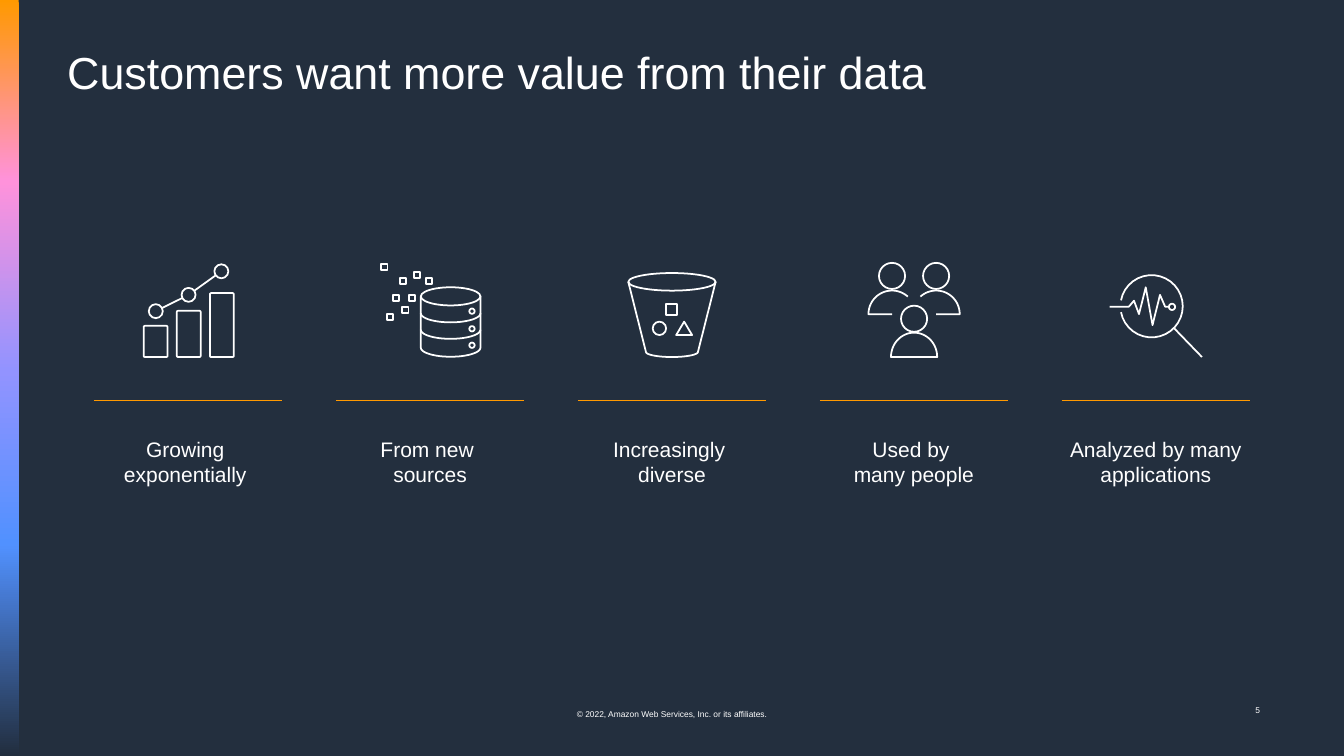
from math import cos, dist, radians, sin

from lxml.etree import SubElement
from pptx import Presentation
from pptx.dml.color import RGBColor
from pptx.enum.shapes import MSO_CONNECTOR, MSO_SHAPE
from pptx.enum.text import MSO_ANCHOR, PP_ALIGN
from pptx.oxml.ns import qn
from pptx.util import Pt

NAVY = RGBColor(0x23, 0x2F, 0x3E)
WHITE = RGBColor(0xFF, 0xFF, 0xFF)
ORANGE = RGBColor(0xFF, 0x99, 0x00)
STRIP_STOPS = [
    (0, ORANGE),
    (24, RGBColor(0xFF, 0x92, 0xDB)),
    (49, RGBColor(0x92, 0x93, 0xFF)),
    (72, RGBColor(0x51, 0x91, 0xFF)),
    (100, RGBColor(0x22, 0x2E, 0x3E)),
]
FONT = "Arial"
SLIDE_WIDTH, SLIDE_HEIGHT = 1152, 648
COLUMN_LEFT, COLUMN_WIDTH, COLUMN_PITCH = 80.64, 161.28, 207.36
COLUMN_TOP, RULE_OFFSET, CAPTION_OFFSET = 224.64, 118.8, 149.76
CAPTION_WIDTH, CAPTION_HEIGHT = 194.4, 44


def arc(cx, cy, rx, ry, start, end, steps=32):
    """Return points on an ellipse between two angles in degrees, y downwards."""
    angles = [radians(start + (end - start) * i / steps) for i in range(steps + 1)]
    return [(cx + rx * cos(a), cy + ry * sin(a)) for a in angles]


def outline(slide, box, points, closed=False):
    """Draw a white outline through points given relative to the box."""
    placed = [(Pt(box[0] + x), Pt(box[1] + y)) for x, y in points]
    builder = slide.shapes.build_freeform(*placed[0], scale=1.0)
    builder.add_line_segments(placed[1:], close=closed)
    return style_outline(builder.convert_to_shape())


def style_outline(shape):
    """Give a shape a white line, no fill and no shadow."""
    shape.shadow.inherit = False
    shape.fill.background()
    shape.line.color.rgb = WHITE
    shape.line.width = Pt(1.5)
    return shape


def preset(slide, box, kind, x, y, width, height):
    """Draw an outlined preset shape relative to the box."""
    return style_outline(slide.shapes.add_shape(
        kind, Pt(box[0] + x), Pt(box[1] + y), Pt(width), Pt(height)))


def circle(slide, box, cx, cy, radius):
    """Draw an outlined circle by its centre."""
    return preset(slide, box, MSO_SHAPE.OVAL, cx - radius, cy - radius, 2 * radius, 2 * radius)


def segment(slide, box, start, end, color=WHITE, width=1.5):
    """Draw a straight connector relative to the box."""
    ends = [Pt(box[i] + point[i]) for point in (start, end) for i in (0, 1)]
    connector = slide.shapes.add_connector(MSO_CONNECTOR.STRAIGHT, *ends)
    connector.line.color.rgb = color
    connector.line.width = Pt(width)
    SubElement(connector._element.spPr, qn("a:effectLst"))


def draw_growth(slide, box):
    """Draw rising bars under a trend of linked markers."""
    base, radius = 81.4, 6
    for i, top in enumerate((54.7, 41.8, 26.6)):
        bar = preset(slide, box, MSO_SHAPE.ROUNDED_RECTANGLE, 42.5 + 28.4 * i, top, 20.5, base - top)
        bar.adjustments[0] = 0.05
    markers = [(52.9, 42.1), (81, 28.1), (109.1, 7.9)]
    for marker in markers:
        circle(slide, box, *marker, radius)
    for (x1, y1), (x2, y2) in zip(markers, markers[1:]):
        share = radius / dist((x1, y1), (x2, y2))
        dx, dy = (x2 - x1) * share, (y2 - y1) * share
        segment(slide, box, (x1 + dx, y1 + dy), (x2 - dx, y2 - dy))


def draw_sources(slide, box):
    """Draw a database with data squares flowing in."""
    left, width, rx, ry = 72.7, 51.1, 25.55, 7.8
    cx = left + rx
    preset(slide, box, MSO_SHAPE.OVAL, left, 21.6, width, 2 * ry)
    for band in (43.9, 58):
        outline(slide, box, arc(cx, band, rx, ry, 180, 0))
    outline(slide, box, [(left + width, 29.5), *arc(cx, 73.4, rx, ry, 0, 180), (left, 29.5)])
    for y in (42.1, 57.2, 71.3):
        circle(slide, box, 116.6, y, 2.3)
    for x, y in [(38.9, 1.4), (67, 8.6), (54.7, 13.7), (77, 13.7),
                 (49, 28.1), (62.6, 28.1), (56.9, 38.2), (43.9, 44.6)]:
        preset(slide, box, MSO_SHAPE.RECTANGLE, x, y, 5.2, 5.2)


def draw_diversity(slide, box):
    """Draw a bucket holding three different shapes."""
    outline(slide, box, [(43.2, 16.9), *arc(80.64, 77, 22.3, 4.4, 180, 0), (118.1, 16.9)])
    preset(slide, box, MSO_SHAPE.OVAL, 43.2, 9.4, 74.9, 15.1)
    preset(slide, box, MSO_SHAPE.RECTANGLE, 75.6, 36, 9.4, 9.4)
    preset(slide, box, MSO_SHAPE.OVAL, 64.1, 51.1, 11.5, 11.5)
    preset(slide, box, MSO_SHAPE.ISOSCELES_TRIANGLE, 84.2, 51.1, 13.7, 11.5)


def draw_people(slide, box):
    """Draw one person in front of two others."""
    middle, head = 80.8, 11.2
    outline(slide, box, arc(middle, 81.4, 19.8, 20.9, 180, 360), closed=True)
    circle(slide, box, middle, 48.6, head)
    for side in (-1, 1):
        cx = middle + 18.9 * side
        circle(slide, box, cx, 11.9, head)
        shoulder = [(cx, 44.6), *arc(cx, 44.6, 20.2 * side, 20.2, 0, -132)]
        outline(slide, box, shoulder)


def draw_analysis(slide, box):
    """Draw a magnifier over a pulse line."""
    outline(slide, box, [(41, 38.2), (57.6, 38.2), (61.9, 33.1), (66.2, 44.6), (72, 21.6),
                         (77.8, 54), (84.2, 28.1), (88.6, 38.2), (95, 38.2)])
    tip = circle(slide, box, 94.5, 38.4, 2.7)
    tip.fill.solid()
    tip.fill.fore_color.rgb = NAVY
    outline(slide, box, arc(77, 37.9, 26.7, 26.7, 169, -169))
    segment(slide, box, (95.8, 56.2), (120.2, 81.4))


COLUMNS = [
    (draw_growth, [["Growing "], ["exponentially "]]),
    (draw_sources, [["From new ", "sources"]]),
    (draw_diversity, [["Increasingly ", "diverse"]]),
    (draw_people, [["Used by ", "many\u00a0people"]]),
    (draw_analysis, [["Analyzed by\u00a0many applications"]]),
]


def fill_text(frame, paragraphs, size, align, margins, wrap=True):
    """Write paragraphs of lines, run by run, into a text frame."""
    frame.word_wrap = wrap
    frame.margin_left, frame.margin_top, frame.margin_right, frame.margin_bottom = map(Pt, margins)
    for i, lines in enumerate(paragraphs):
        paragraph = frame.add_paragraph() if i else frame.paragraphs[0]
        paragraph.alignment = align
        for j, line in enumerate(lines):
            if j:
                paragraph.add_line_break()
            run = paragraph.add_run()
            run.text = line
            run.font.name = FONT
            run.font.size = Pt(size)
            run.font.color.rgb = WHITE


def add_label(slide, box, *text_options):
    """Place a text box and fill it."""
    label = slide.shapes.add_textbox(*map(Pt, box))
    fill_text(label.text_frame, *text_options)


def add_strip(slide, box):
    """Draw the gradient strip from top to bottom."""
    strip = slide.shapes.add_shape(MSO_SHAPE.RECTANGLE, *map(Pt, box))
    strip.shadow.inherit = False
    strip.line.fill.background()
    strip.fill.gradient()
    strip.fill.gradient_angle = 270
    stops = strip._element.spPr.find(f".//{qn('a:gsLst')}")
    stops.clear()
    for percent, color in STRIP_STOPS:
        stop = SubElement(stops, qn("a:gs"), pos=str(percent * 1000))
        SubElement(stop, qn("a:srgbClr"), val=str(color))


def add_title(slide, box):
    """Move and format the title placeholder."""
    title = slide.shapes.title
    title.left, title.top, title.width, title.height = map(Pt, box)
    fill_text(title.text_frame, [["Customers want more value from their data"]],
              38.4, PP_ALIGN.LEFT, (0, 4.32, 8.64, 4.32))
    title.text_frame.vertical_anchor = MSO_ANCHOR.BOTTOM
    title.text_frame.paragraphs[0].line_spacing = 0.9


def add_column(slide, box, draw_icon, caption):
    """Place an icon, an orange rule and a caption in one column."""
    left, top, width = box
    draw_icon(slide, box)
    segment(slide, box, (0, RULE_OFFSET), (width, RULE_OFFSET), ORANGE, 1.25)
    caption_left = left + (width - CAPTION_WIDTH) / 2
    add_label(slide, (caption_left, top + CAPTION_OFFSET, CAPTION_WIDTH, CAPTION_HEIGHT),
              caption, 18, PP_ALIGN.CENTER, (0, 0, 0, 0))


def main():
    """Build the slide and save it."""
    deck = Presentation()
    deck.slide_width, deck.slide_height = Pt(SLIDE_WIDTH), Pt(SLIDE_HEIGHT)
    slide = deck.slides.add_slide(deck.slide_layouts[5])
    slide.background.fill.solid()
    slide.background.fill.fore_color.rgb = NAVY
    add_label(slide, (486, 604, 180, 16), [["© 2022, Amazon Web Services, Inc. or its affiliates."]],
              7.2, PP_ALIGN.CENTER, (7.2, 3.6, 7.2, 3.6), False)
    add_label(slide, (981, 600.5, 99, 16), [["5"]], 7.2, PP_ALIGN.RIGHT, (0, 3.6, 0, 3.6))
    add_strip(slide, (0, 0, 16, SLIDE_HEIGHT))
    add_title(slide, (57.6, 38.9, 1036.8, 50.4))
    for i, (draw_icon, caption) in enumerate(COLUMNS):
        add_column(slide, (COLUMN_LEFT + COLUMN_PITCH * i, COLUMN_TOP, COLUMN_WIDTH), draw_icon, caption)
    deck.save("out.pptx")


if __name__ == "__main__":
    main()
